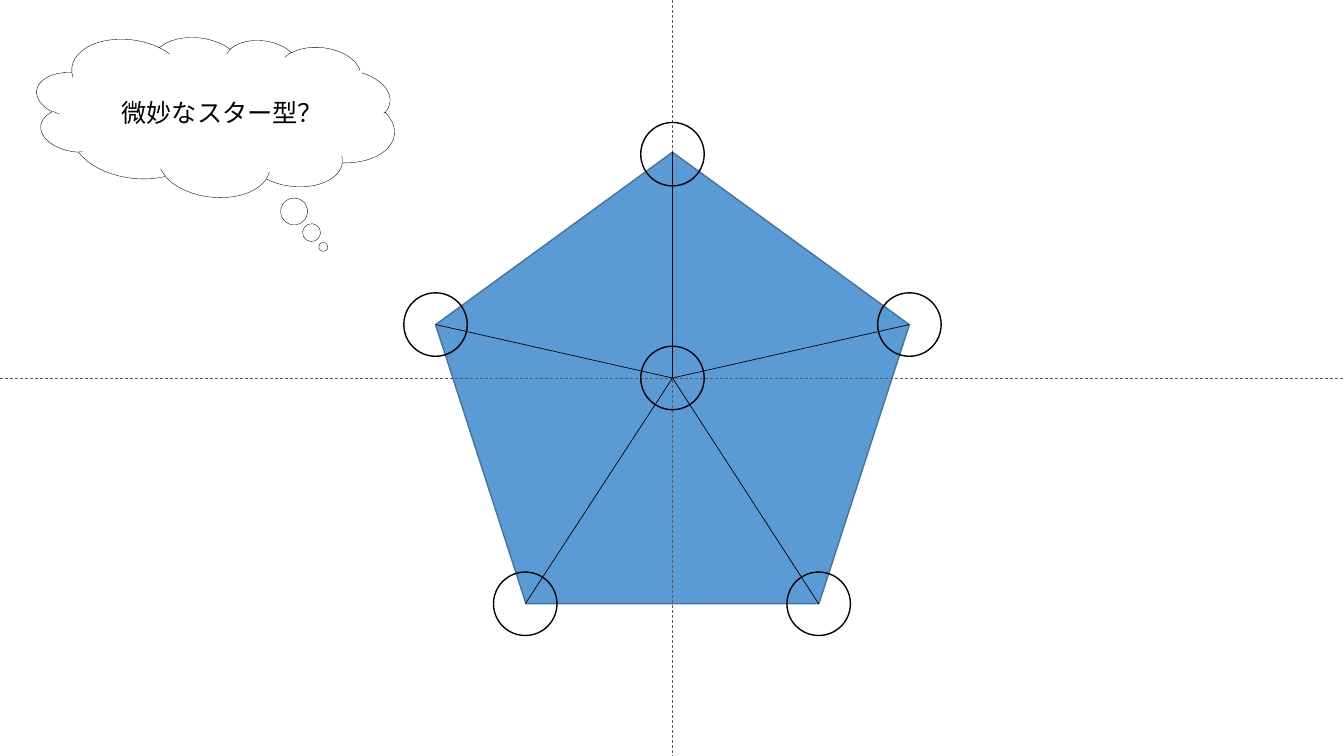
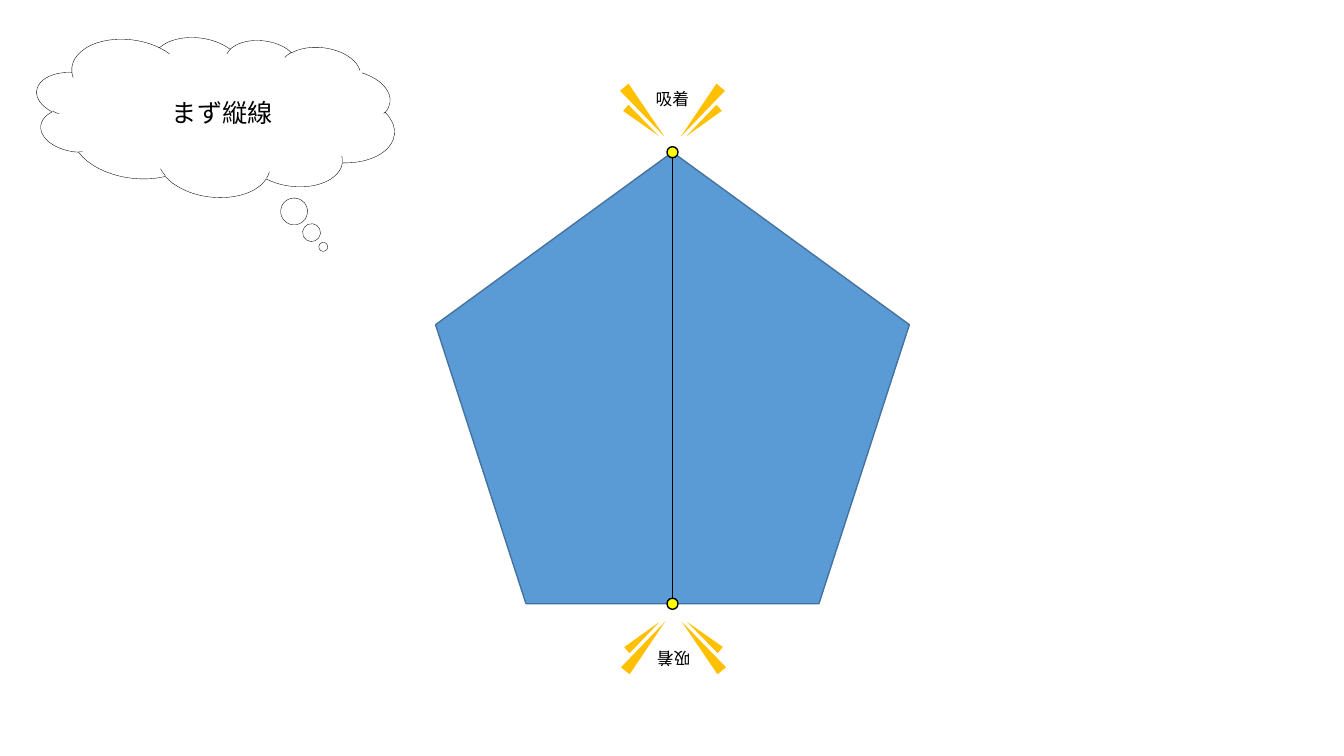
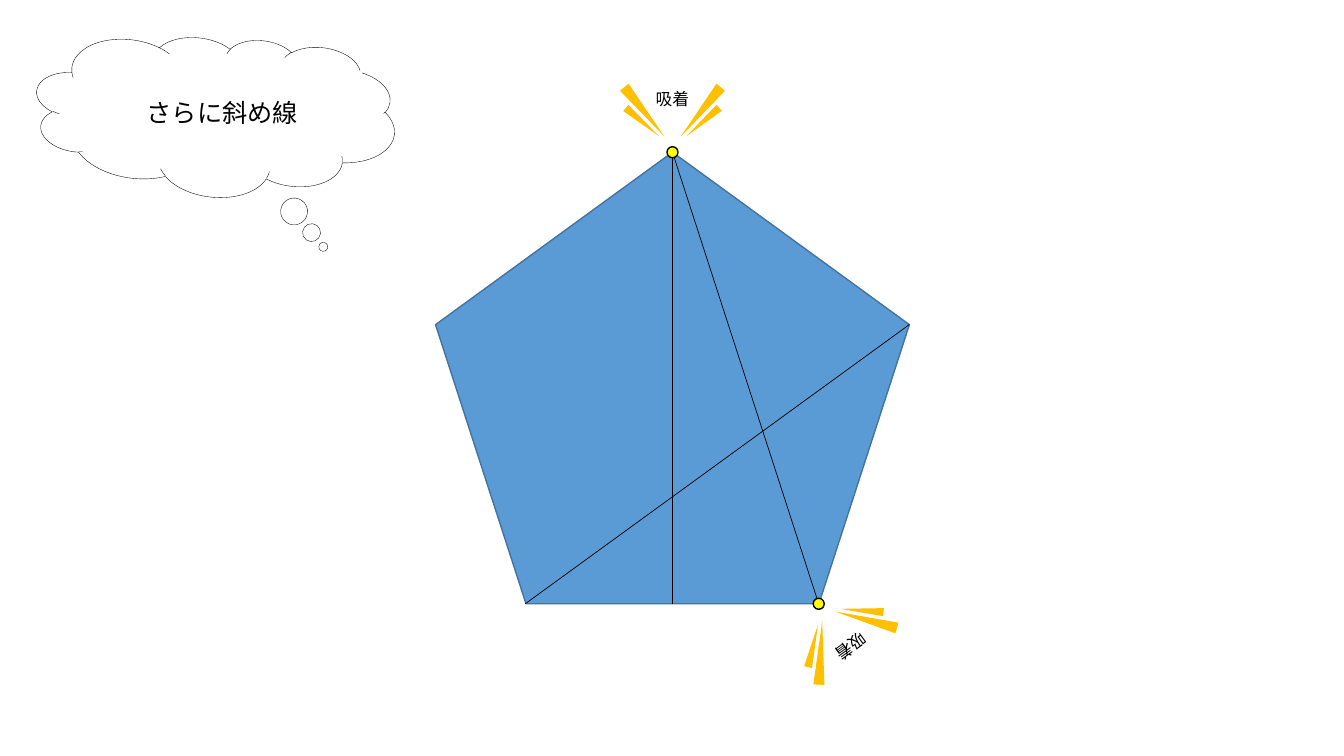
from math import cos, radians, sin

from pptx import Presentation
from pptx.dml.color import RGBColor
from pptx.enum.dml import MSO_LINE
from pptx.enum.shapes import MSO_CONNECTOR, MSO_SHAPE as Preset
from pptx.enum.text import MSO_ANCHOR, MSO_AUTO_SIZE, PP_ALIGN
from pptx.oxml.ns import qn
from pptx.util import Inches, Pt
from lxml.etree import SubElement

WIDTH, HEIGHT = 13.33, 7.5
FONT = "Noto Sans CJK JP"
COLORS = {
    "black": "000000",
    "white": "FFFFFF",
    "guide": "595959",
    "pentagon": "5B9BD5",
    "pentagon_edge": "43739E",
    "dot": "FFFF00",
    "ray": "FFC000",
}
HUB = (6.67, 3.75)
TOP = (6.67, 1.51)
BASE = (6.67, 5.99)
LEFT, RIGHT = (4.32, 3.22), (9.02, 3.22)
BOTTOM_LEFT, BOTTOM_RIGHT = (5.21, 5.99), (8.12, 5.99)
RAYS = [
    (0.28, -0.4, 0.11, 0.63, 219),
    (-0.28, -0.4, 0.11, 0.63, 140.9),
    (0.3, -0.3, 0.08, 0.43, 229.1),
    (-0.3, -0.3, 0.08, 0.43, 130.4),
]
PATCHES = [
    (3.11, 1.32, 0.36, 0.15, 62.5),
    (0.56, 1.13, 0.21, 0.12, 0),
    (3.6, 1.1, 0.21, 0.12, 337.6),
]


def color(name):
    return RGBColor.from_string(COLORS[name])


def turn(point, offset, angle):
    x, y = offset
    c, s = cos(radians(angle)), sin(radians(angle))
    return point[0] + x * c - y * s, point[1] + x * s + y * c


class Deck:
    def __init__(self):
        self.presentation = Presentation()
        self.presentation.slide_width = Inches(WIDTH)
        self.presentation.slide_height = Inches(HEIGHT)
        self.slide = None
        self.pentagon = None

    def new_slide(self):
        layout = self.presentation.slide_layouts[6]
        self.slide = self.presentation.slides.add_slide(layout)
        self.pentagon = self.shape(Preset.REGULAR_PENTAGON, 4.32, 1.51, 4.7, 4.48,
                                   fill="pentagon", line="pentagon_edge")

    def group(self):
        return self.slide.shapes.add_group_shape().shapes

    def shape(self, preset, left, top, width, height, fill=None, line=None,
              weight=1, rotation=0, parent=None):
        shapes = self.slide.shapes if parent is None else parent
        shape = shapes.add_shape(preset, Inches(left), Inches(top),
                                 Inches(width), Inches(height))
        shape.shadow.inherit = False
        shape.rotation = rotation
        if fill:
            shape.fill.solid()
            shape.fill.fore_color.rgb = color(fill)
        else:
            shape.fill.background()
        if line:
            shape.line.color.rgb = color(line)
            shape.line.width = Pt(weight)
        else:
            shape.line.fill.background()
        return shape

    def circle(self, center, size, fill=None):
        x, y = center
        return self.shape(Preset.OVAL, x - size / 2, y - size / 2, size, size,
                          fill=fill, line="black")

    def line(self, start, end, stroke="black", dash=None):
        connector = self.slide.shapes.add_connector(
            MSO_CONNECTOR.STRAIGHT, *[Inches(value) for value in (*start, *end)])
        connector.line.color.rgb = color(stroke)
        connector.line.width = Pt(0.5)
        if dash:
            connector.line.dash_style = dash
        SubElement(connector._element.spPr, qn("a:effectLst"))
        if start == TOP:
            connector.begin_connect(self.pentagon, 0)

    def label(self, shape, text, size):
        shape.text_frame.text = text
        paragraph = shape.text_frame.paragraphs[0]
        paragraph.alignment = PP_ALIGN.CENTER
        run = paragraph.runs[0]
        run.font.size = Pt(size)
        run.font.color.rgb = color("black")
        run.font.name = FONT
        SubElement(run._r.get_or_add_rPr(), qn("a:ea"), typeface=FONT)

    def thought(self, text):
        group = self.group()
        cloud = self.shape(Preset.CLOUD_CALLOUT, 0.35, 0.35, 3.57, 1.6, fill="white",
                           line="black", weight=0.25, rotation=6.6, parent=group)
        cloud.adjustments[0] = 0.34
        cloud.adjustments[1] = 0.73
        for *box, rotation in PATCHES:
            self.shape(Preset.RECTANGLE, *box, fill="white", rotation=rotation,
                       parent=group)
        panel = self.shape(Preset.RECTANGLE, 0.82, 0.7, 2.77, 0.84, fill="white",
                           parent=group)
        panel.text_frame.vertical_anchor = MSO_ANCHOR.MIDDLE
        self.label(panel, text, 18)

    def snap(self, point, angle=0):
        group = self.group()
        width, height = 0.54, 0.3
        x, y = turn(point, (0, -0.53), angle)
        caption = group.add_textbox(Inches(x - width / 2), Inches(y - height / 2),
                                    Inches(width), Inches(height))
        caption.rotation = angle
        caption.text_frame.word_wrap = False
        caption.text_frame.auto_size = MSO_AUTO_SIZE.SHAPE_TO_FIT_TEXT
        self.label(caption, "吸着", 12)
        for dx, dy, width, height, rotation in RAYS:
            x, y = turn(point, (dx, dy), angle)
            self.shape(Preset.ISOSCELES_TRIANGLE, x - width / 2, y - height / 2,
                       width, height, fill="ray", rotation=(rotation + angle) % 360,
                       parent=group)


def star_slide(deck):
    deck.new_slide()
    deck.line((0, HUB[1]), (WIDTH, HUB[1]), "guide", MSO_LINE.DASH)
    deck.line((HUB[0], 0), (HUB[0], HEIGHT), "guide", MSO_LINE.DASH)
    for center in (HUB, LEFT, BOTTOM_LEFT, BOTTOM_RIGHT, RIGHT, (6.67, 1.53)):
        deck.circle(center, 0.63)
    for corner in (LEFT, BOTTOM_LEFT, BOTTOM_RIGHT, RIGHT, TOP):
        deck.line(corner, HUB)
    deck.thought("微妙なスター型？")


def snap_slide(deck, text, lines, end, snap_point, angle):
    deck.new_slide()
    for start, finish in lines:
        deck.line(start, finish)
    for point in (TOP, end):
        deck.circle(point, 0.11, fill="dot")
    deck.snap(TOP)
    deck.snap(snap_point, angle)
    deck.thought(text)


def main():
    deck = Deck()
    star_slide(deck)
    snap_slide(deck, "まず縦線", [(TOP, BASE)], BASE, (6.68, 6.01), 180)
    snap_slide(deck, "さらに斜め線",
               [(TOP, BASE), (TOP, BOTTOM_RIGHT), (BOTTOM_LEFT, RIGHT)],
               BOTTOM_RIGHT, (8.13, 5.99), 144)
    deck.presentation.save("out.pptx")


if __name__ == "__main__":
    main()
